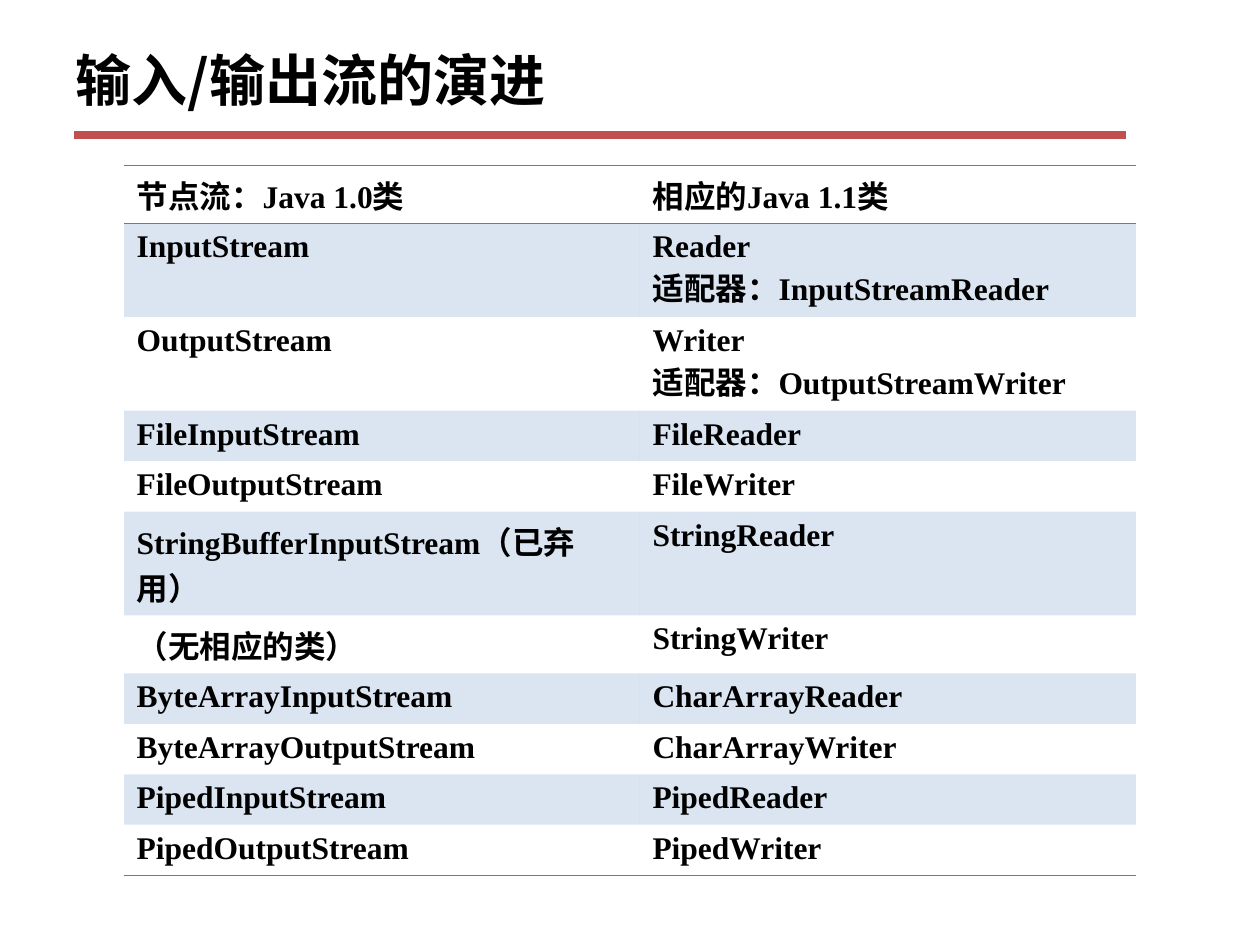
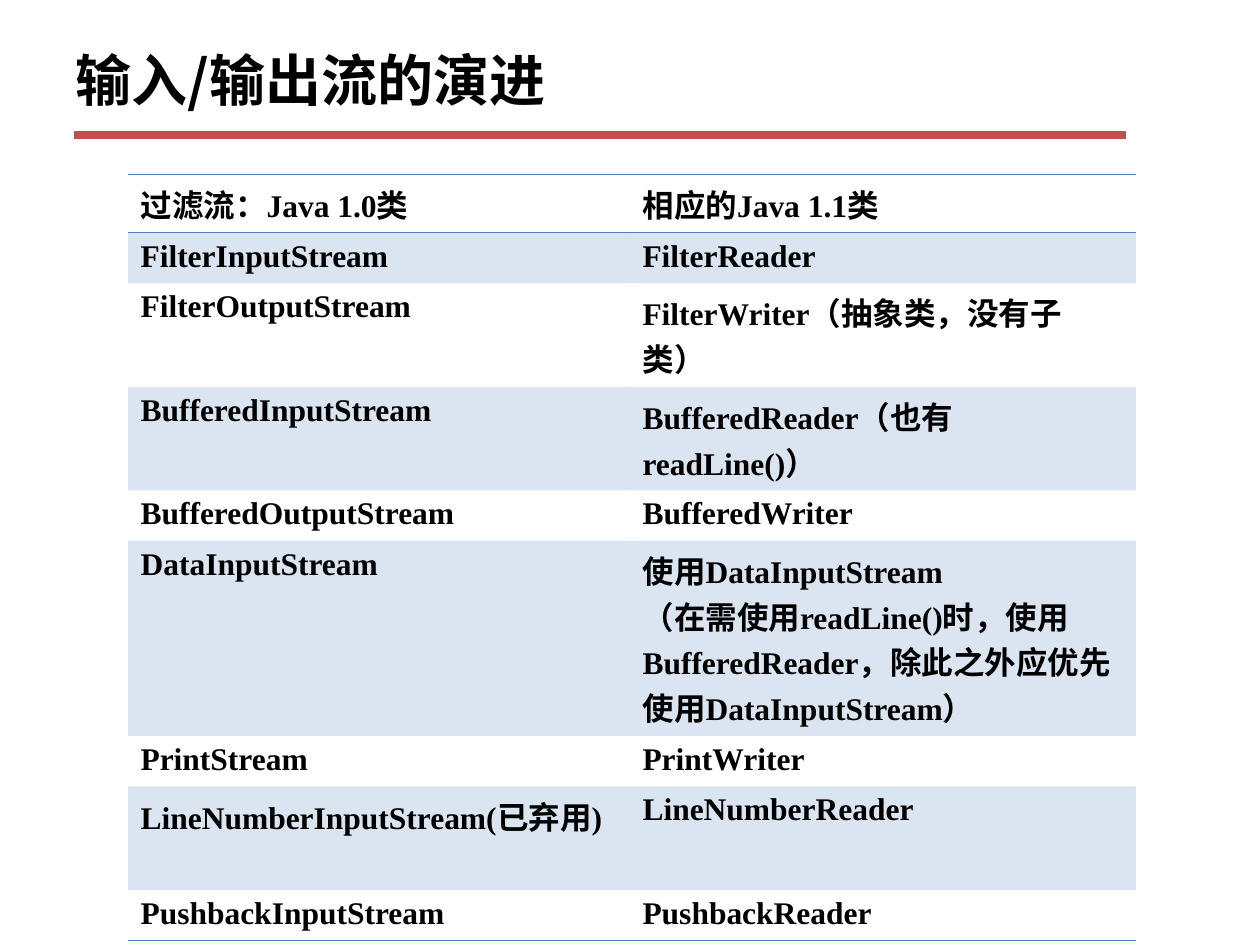
from pptx import Presentation
from pptx.dml.color import RGBColor
from pptx.enum.shapes import MSO_CONNECTOR as Connector
from pptx.enum.text import MSO_ANCHOR as Anchor
from pptx.oxml.ns import qn
from pptx.util import Cm, Pt
from lxml.etree import SubElement, Element

# Content: (Java 1.0 class, Java 1.1 class, lines of the taller cell),
# where "L" is a line of Latin text and "C" a line with Chinese text
TITLE = "输入/输出流的演进"

NODE_STREAMS = [
    ("节点流：Java 1.0类", "相应的Java 1.1类", "C"),
    ("InputStream", "Reader\n适配器：InputStreamReader", "LC"),
    ("OutputStream", "Writer\n适配器：OutputStreamWriter", "LC"),
    ("FileInputStream", "FileReader", "L"),
    ("FileOutputStream", "FileWriter", "L"),
    ("StringBufferInputStream（已弃用）", "StringReader", "CC"),
    ("（无相应的类）", "StringWriter", "C"),
    ("ByteArrayInputStream", "CharArrayReader", "L"),
    ("ByteArrayOutputStream", "CharArrayWriter", "L"),
    ("PipedInputStream", "PipedReader", "L"),
    ("PipedOutputStream", "PipedWriter", "L"),
]

FILTER_STREAMS = [
    ("过滤流：Java 1.0类", "相应的Java 1.1类", "C"),
    ("FilterInputStream", "FilterReader", "L"),
    ("FilterOutputStream", "FilterWriter（抽象类，没有子类）", "CC"),
    ("BufferedInputStream", "BufferedReader（也有readLine()）", "CC"),
    ("BufferedOutputStream", "BufferedWriter", "L"),
    ("DataInputStream",
     "使用DataInputStream\n（在需使用readLine()时，使用BufferedReader，"
     "除此之外应优先使用DataInputStream）", "CCCC"),
    ("PrintStream", "PrintWriter", "L"),
    ("LineNumberInputStream(已弃用)", "LineNumberReader", "CC"),
    ("PushbackInputStream", "PushbackReader", "L"),
]

# Per slide: rows, left, top and column widths in cm
SLIDES = [
    (NODE_STREAMS, 2.5, 3.33, (10.4, 10.0)),
    (FILTER_STREAMS, 2.58, 3.52, (10.12, 10.2)),
]

# Shared look
BLACK = RGBColor(0x00, 0x00, 0x00)
RULE_RED = RGBColor(0xC0, 0x50, 0x4D)
BAND_BLUE = RGBColor(0x4F, 0x81, 0xBD)
BAND_ALPHA = "20000"
CJK_FONT, LATIN_FONT = "Noto Sans CJK SC", "Times New Roman"
PLAIN_TABLE = "{2D5ABB26-0587-4C30-8999-92F81FD0307C}"
CELL_MARGINS = 0.25
LINE_HEIGHTS = {"L": 0.72, "C": 0.92}


def write(frame, text, size=18, font=LATIN_FONT, bold=True, color=BLACK):
    """Fill a text frame, one paragraph for each line of text."""
    frame.word_wrap = True
    for i, line in enumerate(text.split("\n")):
        paragraph = frame.add_paragraph() if i else frame.paragraphs[0]
        run = paragraph.add_run()
        run.text = line
        run.font.size, run.font.bold, run.font.name = Pt(size), bold, font
        run.font.color.rgb = color
        run.font._element.find(qn("a:latin")).addnext(
            Element(qn("a:ea"), typeface=CJK_FONT))


def add_heading(slide):
    # Red rule under the title
    rule = slide.shapes.add_connector(
        Connector.STRAIGHT, Cm(1.5), Cm(2.72), Cm(22.7), Cm(2.72))
    rule.line.color.rgb = RULE_RED
    rule.line.width = Pt(4.5)
    SubElement(rule._element.spPr, qn("a:effectLst"))
    # Title
    title = slide.shapes.add_textbox(Cm(1.27), Cm(0.5), Cm(22.86), Cm(2.2))
    title.text_frame.vertical_anchor = Anchor.MIDDLE
    write(title.text_frame, TITLE, size=32, font=CJK_FONT)


def add_border(cell, side, position):
    line = Element(qn(f"a:{side}"), w=str(Pt(0.45)))
    fill = SubElement(line, qn("a:solidFill"))
    SubElement(fill, qn("a:srgbClr"), val=str(BAND_BLUE))
    cell._tc.get_or_add_tcPr().insert(position, line)


def style_cell(cell, row, last_row):
    # Translucent band on every second row below the header
    if row % 2:
        cell.fill.solid()
        cell.fill.fore_color.rgb = BAND_BLUE
        color = cell._tc.tcPr.find(f".//{qn('a:srgbClr')}")
        SubElement(color, qn("a:alpha"), val=BAND_ALPHA)
    else:
        cell.fill.background()
    # Lines above and below the header and below the last row
    sides = {0: ("lnT", "lnB"), last_row: ("lnB",)}.get(row, ())
    for position, side in enumerate(sides):
        add_border(cell, side, position)


def add_class_table(slide, classes, left, top, widths):
    heights = [CELL_MARGINS + sum(LINE_HEIGHTS[line] for line in lines)
               for *_, lines in classes]
    table = slide.shapes.add_table(
        len(classes), len(widths), Cm(left), Cm(top),
        Cm(sum(widths)), Cm(sum(heights))).table
    table._tbl.tblPr.find(qn("a:tableStyleId")).text = PLAIN_TABLE
    for column, width in zip(table.columns, widths):
        column.width = Cm(width)
    for r, (*names, _) in enumerate(classes):
        table.rows[r].height = Cm(heights[r])
        for c, name in enumerate(names):
            cell = table.cell(r, c)
            write(cell.text_frame, name)
            style_cell(cell, r, len(classes) - 1)


def main():
    deck = Presentation()
    deck.slide_width, deck.slide_height = Cm(25.4), Cm(19.05)
    for classes, left, top, widths in SLIDES:
        slide = deck.slides.add_slide(deck.slide_layouts[6])
        add_heading(slide)
        add_class_table(slide, classes, left, top, widths)
    deck.save("out.pptx")


if __name__ == "__main__":
    main()
